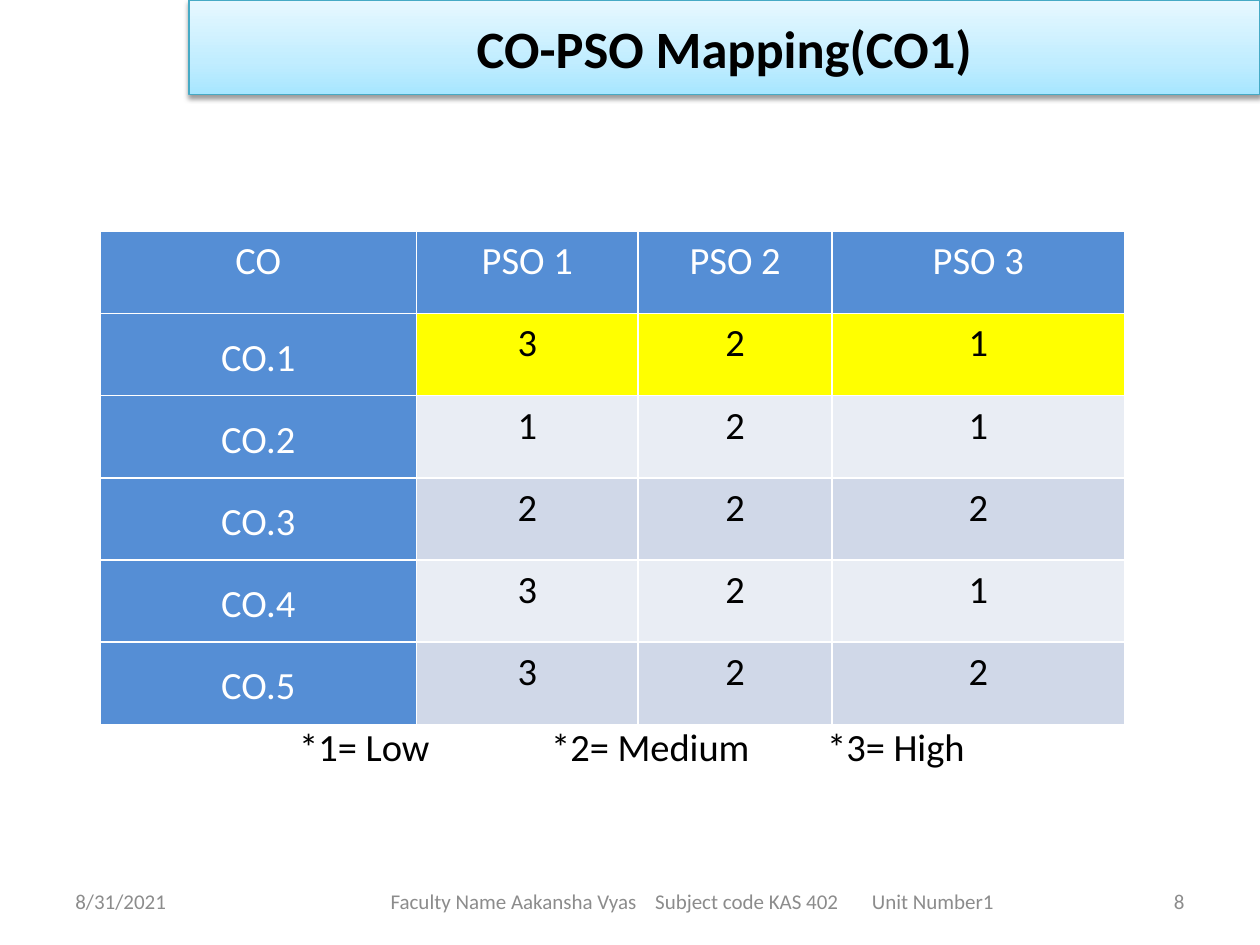
from copy import deepcopy

from lxml import etree
from pptx import Presentation, util as u
from pptx.dml.color import RGBColor
from pptx.enum import shapes, text
from pptx.oxml.ns import qn

BLACK = RGBColor(0x00, 0x00, 0x00)
WHITE = RGBColor(0xFF, 0xFF, 0xFF)
GREY = RGBColor(0x8C, 0x8C, 0x8C)
TEAL = RGBColor(0x46, 0xAA, 0xC5)
BLUE = RGBColor(0x55, 0x8E, 0xD5)
YELLOW = RGBColor(0xFF, 0xFF, 0x00)
BANDS = (RGBColor(0xD0, 0xD8, 0xE8), RGBColor(0xE9, 0xED, 0xF4))
BANNER_STOPS = ((0, RGBColor(0xA7, 0xE6, 0xFF)),
                (0.35, RGBColor(0xC1, 0xED, 0xFF)),
                (1, RGBColor(0xE7, 0xF8, 0xFF)))

LEFT, CENTER, RIGHT = (text.PP_ALIGN.LEFT, text.PP_ALIGN.CENTER,
                       text.PP_ALIGN.RIGHT)
MIDDLE, TOP = text.MSO_ANCHOR.MIDDLE, text.MSO_ANCHOR.TOP

HIGHLIGHTED_ROW = 1
MAPPING = (("CO", "PSO 1", "PSO 2", "PSO 3"),
           ("CO.1", "3", "2", "1"),
           ("CO.2", "1", "2", "1"),
           ("CO.3", "2", "2", "2"),
           ("CO.4", "3", "2", "1"),
           ("CO.5", "3", "2", "2"))


def add_xml(parent, tag, **attributes):
    return etree.SubElement(parent, qn(tag),
                            {k: str(v) for k, v in attributes.items()})


class SlideBuilder:
    """Draws on one slide; positions are (column, row) on a quarter-inch grid."""

    font = "Calibri"
    unit = 0.25

    def __init__(self, prs):
        self.s = prs.slides.add_slide(prs.slide_layouts[6])

    def grid(self, *cells):
        return [u.Inches(c * self.unit) for c in cells]

    def style(self, p, size, color, align=LEFT, bold=False):
        p.alignment = align
        p.font.name = self.font
        p.font.size = u.Pt(size)
        p.font.bold = bold
        p.font.color.rgb = color

    def label(self, box, words, size, color, align=LEFT, inset=0.4, tabs=()):
        """Adds a text box; tabs are grid columns counted from the inset."""
        tf = self.s.shapes.add_textbox(*self.grid(*box)).text_frame
        tf.word_wrap = True
        tf.vertical_anchor = MIDDLE
        tf.margin_left, = self.grid(inset)
        p = tf.paragraphs[0]
        p.text = words
        if tabs:
            stops = add_xml(p._p.get_or_add_pPr(), "a:tabLst")
            for pos in self.grid(*tabs):
                add_xml(stops, "a:tab", pos=pos, algn="l")
        self.style(p, size, color, align)

    def banner(self, box, words):
        sp = self.s.shapes.add_shape(shapes.MSO_SHAPE.RECTANGLE,
                                     *self.grid(*box))
        sp.line.color.rgb = TEAL
        sp.line.width = u.Pt(0.75)
        sp.fill.gradient()
        stop_list = sp._element.spPr.find(".//" + qn("a:gsLst"))
        stop_list.append(deepcopy(stop_list[0]))
        for stop, (position, color) in zip(sp.fill.gradient_stops,
                                           BANNER_STOPS):
            stop.position = position
            stop.color.rgb = color
        sp.fill.gradient_angle = 90
        sp.shadow.inherit = False
        shadow = add_xml(sp._element.spPr.find(qn("a:effectLst")),
                         "a:outerShdw", blurRad=u.Pt(3.1), dist=u.Pt(1.6),
                         dir=90 * 60000, rotWithShape=0)
        add_xml(add_xml(shadow, "a:srgbClr", val=BLACK), "a:alpha", val=38000)
        tf = sp.text_frame
        tf.vertical_anchor = MIDDLE
        tf.text = words
        self.style(tf.paragraphs[0], 30, BLACK, CENTER, bold=True)

    def borders(self, cell):
        tc_pr = cell._tc.get_or_add_tcPr()
        for i, side in enumerate("LRTB"):
            ln = add_xml(tc_pr, "a:ln" + side, w=u.Pt(1))
            add_xml(add_xml(ln, "a:solidFill"), "a:srgbClr", val=WHITE)
            tc_pr.insert(i, ln)

    def table(self, box, widths, rows):
        """Draws the rows with a coloured header row and first column."""
        table = self.s.shapes.add_table(len(rows), len(widths),
                                        *self.grid(*box)).table
        for column, width in zip(table.columns, self.grid(*widths)):
            column.width = width
        for i, row in enumerate(rows):
            for j, words in enumerate(row):
                cell = table.cell(i, j)
                heading = i == 0 or j == 0
                cell.fill.solid()
                cell.fill.fore_color.rgb = (
                    BLUE if heading else
                    YELLOW if i == HIGHLIGHTED_ROW else BANDS[(i + 1) % 2])
                self.borders(cell)
                cell.margin_left = cell.margin_right = u.Inches(0.07)
                cell.margin_top = cell.margin_bottom = 0
                cell.vertical_anchor = MIDDLE if i and j == 0 else TOP
                cell.text = words
                p = cell.text_frame.paragraphs[0]
                p.line_spacing = 1.15
                self.style(p, 22, WHITE if heading else BLACK, CENTER)


def main():
    prs = Presentation()
    prs.slide_width, prs.slide_height = u.Inches(10), u.Inches(7.5)
    b = SlideBuilder(prs)
    b.banner((6, 0, 34, 3), "CO-PSO Mapping(CO1)")
    b.label((2, 22.8, 36, 1.8), "*1= Low\t*2= Medium\t*3= High", 22, BLACK,
            inset=7.5, tabs=(8, 16.76))
    b.table((3.18, 7.34, 32.5, 15.66), (10.04, 7.04, 6.16, 9.28), MAPPING)
    b.label((2, 27.8, 9.32, 1.6), "8/31/2021", 12, GREY)
    b.label((11, 27.8, 22, 1.6),
            "Faculty Name Aakansha Vyas\tSubject code KAS 402\tUnit Number1",
            12, GREY, inset=1.4, tabs=(8.4, 15.28))
    b.label((28.68, 27.8, 9.32, 1.6), "8", 12, GREY, RIGHT)
    prs.save("out.pptx")


if __name__ == "__main__":
    main()
